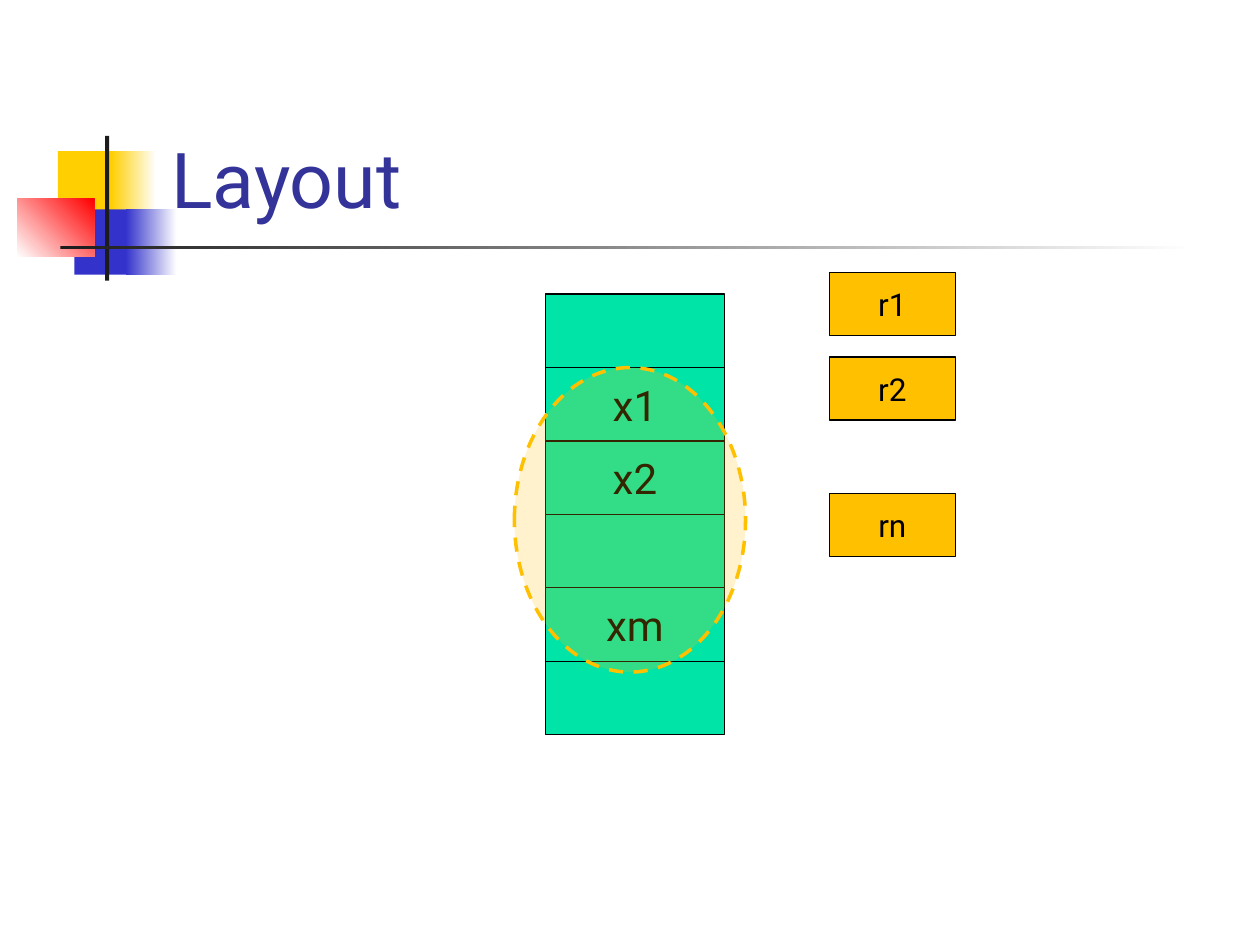
from dataclasses import dataclass
from typing import Optional

import lxml.etree
import pptx
import pptx.dml.color
import pptx.enum.dml
import pptx.enum.shapes
import pptx.enum.text
import pptx.oxml.ns
import pptx.util
from pptx.dml.color import RGBColor
from pptx.util import Cm

FONT = "Roboto"
BLACK = RGBColor(0x00, 0x00, 0x00)
WHITE = RGBColor(0xFF, 0xFF, 0xFF)
YELLOW = RGBColor(0xFF, 0xCF, 0x01)
BLUE = RGBColor(0x33, 0x33, 0xCC)
RED = RGBColor(0xFF, 0x00, 0x00)
CHARCOAL = RGBColor(0x1C, 0x1C, 0x1C)
NAVY = RGBColor(0x33, 0x33, 0x99)
GREEN = RGBColor(0x00, 0xE4, 0xA8)
AMBER = RGBColor(0xFF, 0xC0, 0x00)

RECTANGLE = pptx.enum.shapes.MSO_SHAPE.RECTANGLE
OVAL = pptx.enum.shapes.MSO_SHAPE.OVAL


@dataclass(frozen=True)
class Block:
    left: float
    top: float
    width: float
    height: float
    color: RGBColor
    fade_to: Optional[RGBColor] = None
    angle: float = 0


@dataclass(frozen=True)
class Cell:
    block: Block
    label: str
    size: int


ORNAMENT = [
    Block(1.17, 3.05, 1.22, 1.32, YELLOW),
    Block(2.24, 3.05, 0.91, 1.32, YELLOW, WHITE),
    Block(1.5, 4.22, 1.17, 1.32, BLUE),
    Block(2.54, 4.22, 1.02, 1.32, BLUE, WHITE),
    Block(0.35, 4.01, 1.55, 1.17, WHITE, RED, 45),
    Block(2.12, 2.74, 0.08, 2.92, CHARCOAL),
    Block(1.22, 4.95, 22.86, 0.08, CHARCOAL, WHITE),
]

MEMORY_LABELS = ["", "x1", "x2", "", "xm", ""]
MEMORY_TOP, MEMORY_PITCH = 5.93, 1.48
REGISTER_TOPS = {"r1": 5.5, "r2": 7.2, "rn": 9.95}


def draw_block(slide, block: Block, outline=RECTANGLE):
    shape = slide.shapes.add_shape(
        outline, Cm(block.left), Cm(block.top), Cm(block.width), Cm(block.height)
    )
    shape.shadow.inherit = False
    shape.line.fill.background()
    if block.fade_to is None:
        shape.fill.solid()
        shape.fill.fore_color.rgb = block.color
    else:
        shape.fill.gradient()
        shape.fill.gradient_angle = block.angle
        for stop, color in zip(shape.fill.gradient_stops, (block.color, block.fade_to)):
            stop.color.rgb = color
    return shape


def draw_cell(slide, cell: Cell) -> None:
    shape = draw_block(slide, cell.block)
    shape.line.color.rgb = BLACK
    shape.line.width = pptx.util.Pt(0.75)
    if not cell.label:
        return
    frame = shape.text_frame
    frame.text = cell.label
    frame.word_wrap = False
    frame.vertical_anchor = pptx.enum.text.MSO_ANCHOR.MIDDLE
    label = frame.paragraphs[0]
    label.alignment = pptx.enum.text.PP_ALIGN.CENTER
    style_font(label.runs[0].font, cell.size, BLACK)


def style_font(font, size: int, color: RGBColor) -> None:
    font.name = FONT
    font.size = pptx.util.Pt(size)
    font.color.rgb = color


def draw_region(slide, block: Block, opacity: int) -> None:
    region = draw_block(slide, block, OVAL)
    region.line.color.rgb = block.color
    region.line.width = pptx.util.Pt(2)
    region.line.dash_style = pptx.enum.dml.MSO_LINE.DASH
    fill_color = region._element.spPr.find(pptx.oxml.ns.qn("a:solidFill"))[0]
    alpha = lxml.etree.SubElement(fill_color, pptx.oxml.ns.qn("a:alpha"))
    alpha.set("val", str(opacity * 1000))


def place_title(slide, text: str) -> None:
    title = slide.shapes.title
    title.left, title.top, title.width, title.height = Cm(3.2), Cm(0.58), Cm(21.64), Cm(4.06)
    frame = title.text_frame
    frame.text = text
    frame.word_wrap = True
    frame.auto_size = pptx.enum.text.MSO_AUTO_SIZE.NONE
    frame.vertical_anchor = pptx.enum.text.MSO_ANCHOR.BOTTOM
    heading = frame.paragraphs[0]
    heading.alignment = pptx.enum.text.PP_ALIGN.LEFT
    style_font(heading.runs[0].font, 44, NAVY)
    title._element.getparent().append(title._element)


def main() -> None:
    presentation = pptx.Presentation()
    presentation.slide_width, presentation.slide_height = Cm(25.4), Cm(19.05)
    slide = presentation.slides.add_slide(presentation.slide_layouts[5])

    for block in ORNAMENT:
        draw_block(slide, block)
    place_title(slide, "Layout")

    for row, label in enumerate(MEMORY_LABELS):
        top = MEMORY_TOP + row * MEMORY_PITCH
        draw_cell(slide, Cell(Block(11, top, 3.6, MEMORY_PITCH, GREEN), label, 24))
    for label, top in REGISTER_TOPS.items():
        draw_cell(slide, Cell(Block(16.72, top, 2.54, 1.27, AMBER), label, 18))
    draw_region(slide, Block(10.37, 7.41, 4.66, 6.14, AMBER), opacity=20)

    presentation.save("out.pptx")


if __name__ == "__main__":
    main()
